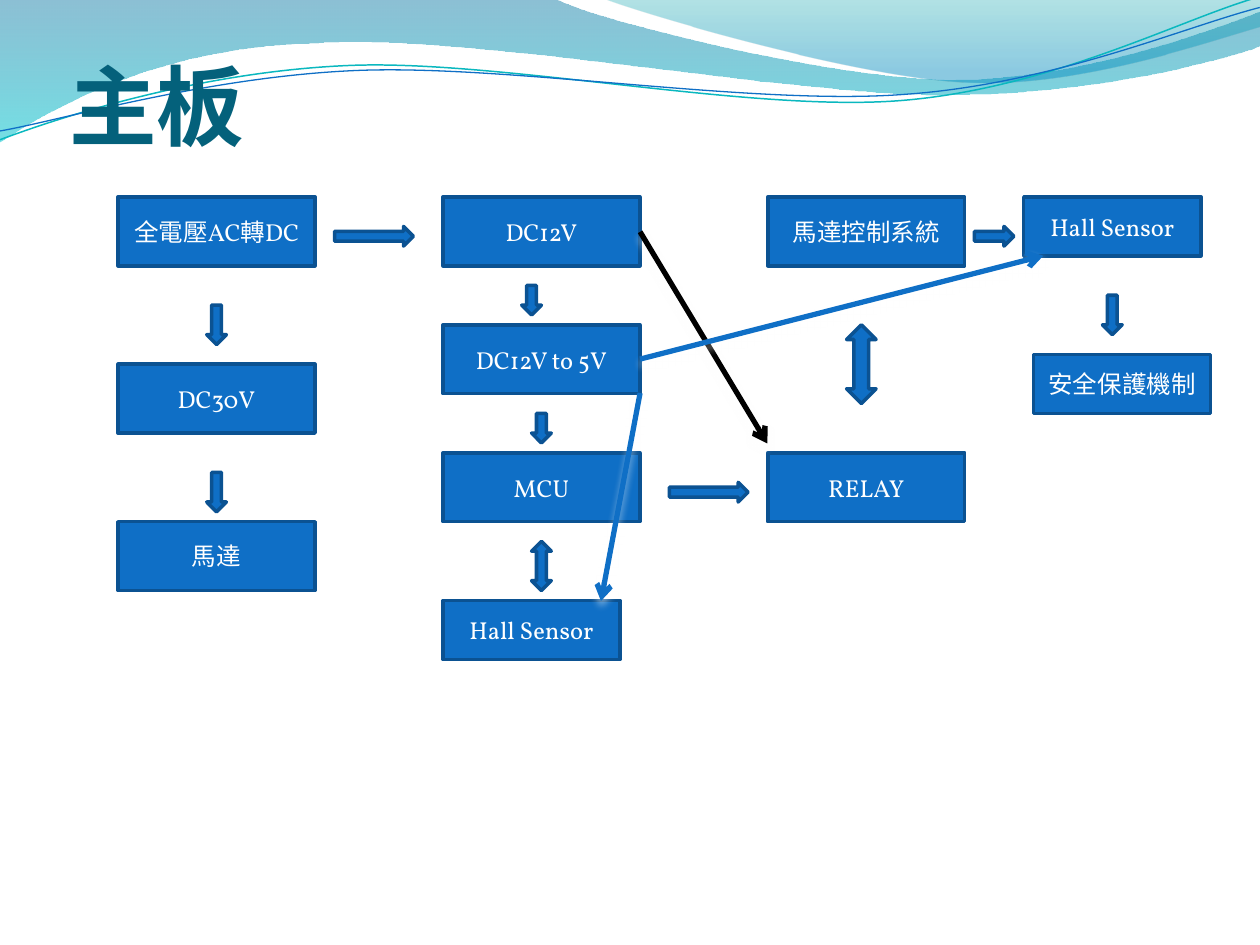
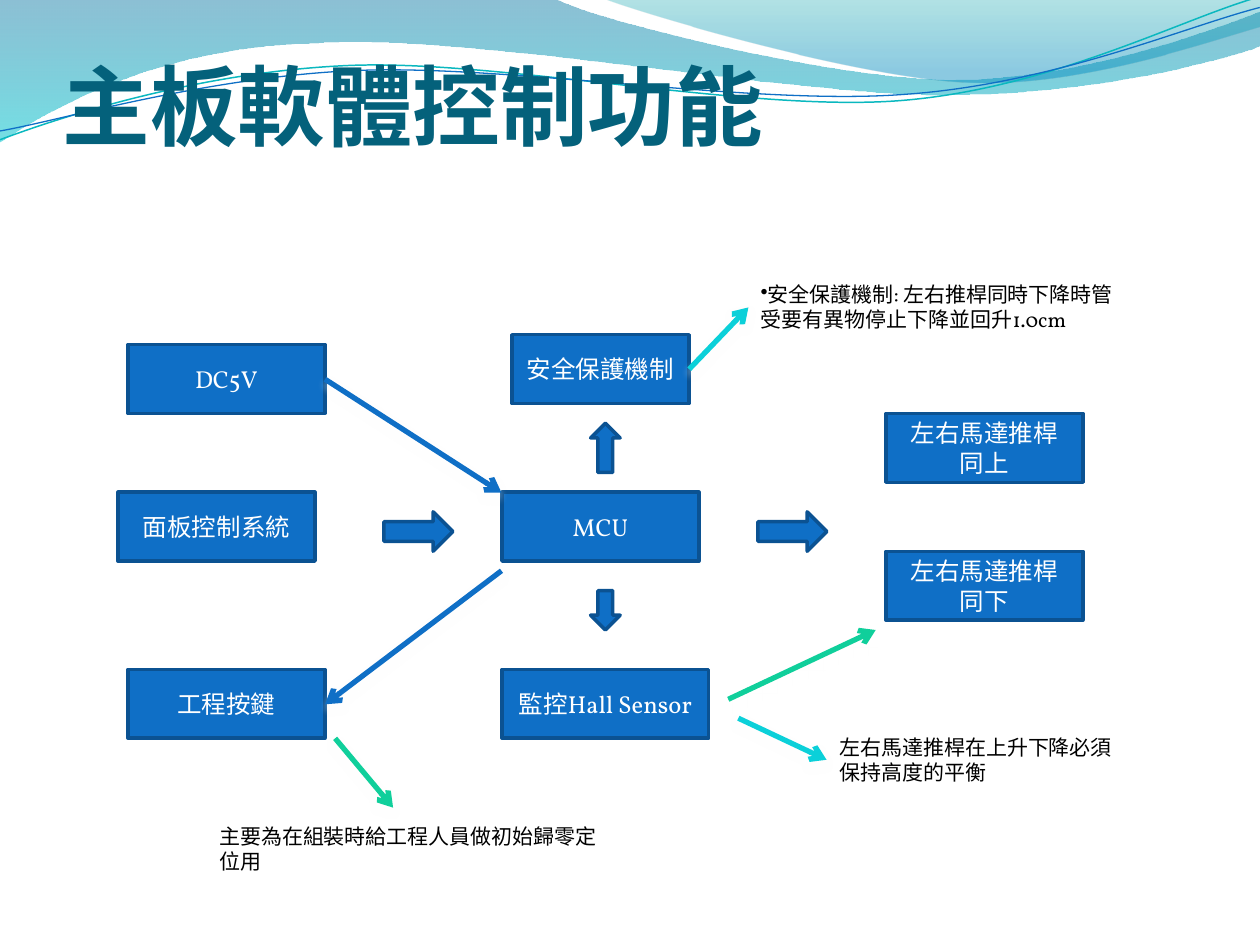
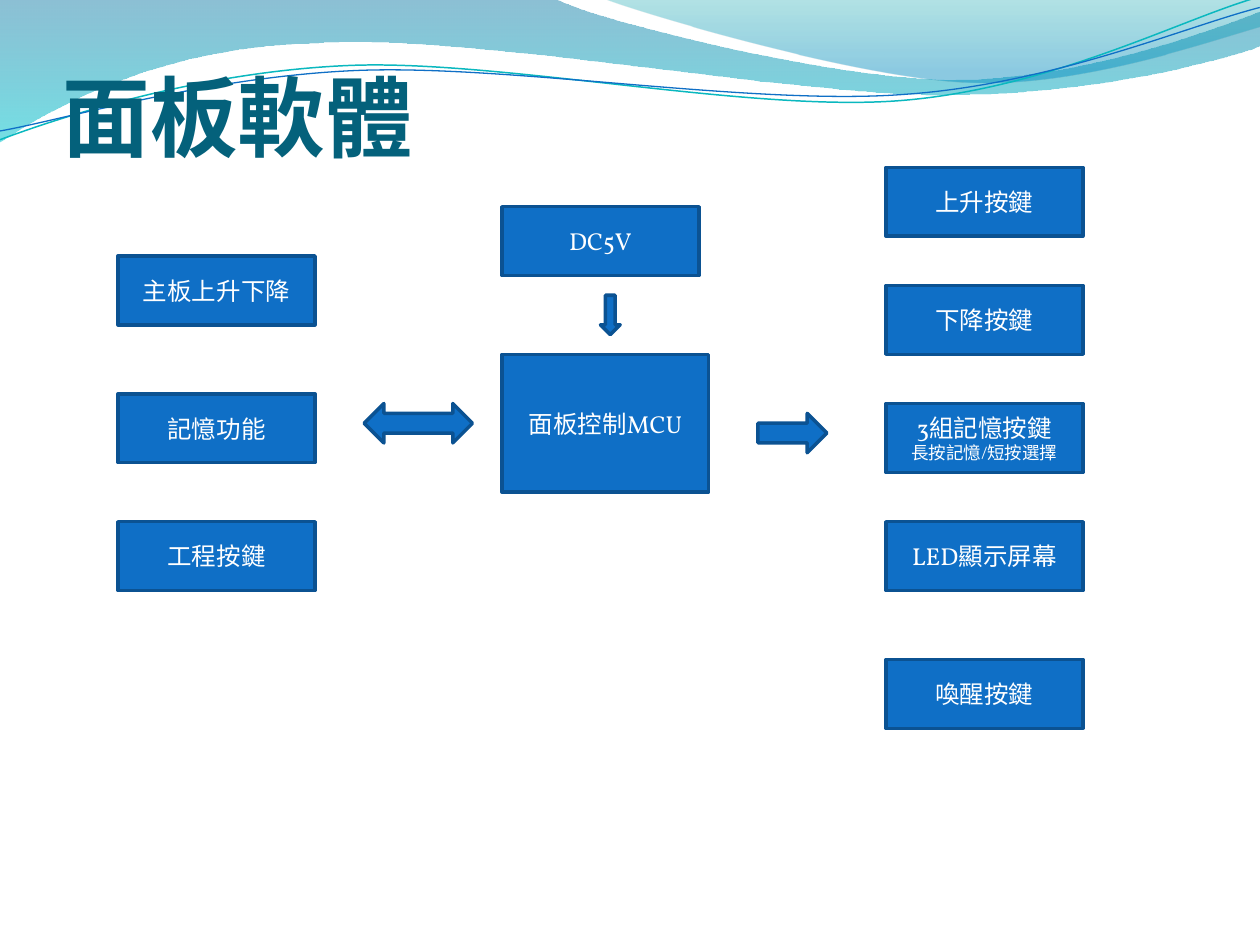
import math

from lxml import etree
from pptx import Presentation
from pptx.dml.color import RGBColor
from pptx.enum import shapes, text
from pptx.oxml import ns
from pptx.util import Inches, Pt

# Shared colours and fonts
BLUE, EDGE, TEAL, CYAN, GREEN = "0F6FC6", "0B5292", "04617B", "0BD0D9", "10CF9B"
BLACK, WHITE = "000000", "FFFFFF"
HEAD_FONT, BODY_FONT = "Calibri", "Vollkorn"

# Shared grid (128 steps across the slide), box sizes and columns
GRID = Inches(10) / 128
BOX, SMALL, WIDE = (1.56, 0.55), (1.41, 0.47), (1.64, 0.55)
LEFT, CENTRE, RIGHT = 0.94, 3.98, 7.03

MSO = shapes.MSO_SHAPE
ARROWS = {"right": MSO.RIGHT_ARROW, "down": MSO.DOWN_ARROW, "up": MSO.UP_ARROW,
          "updown": MSO.UP_DOWN_ARROW, "leftright": MSO.LEFT_RIGHT_ARROW}

# Header waves: start point, then lines (one point) or curves (three points)
BAND = [[(0, 0)], [(4.4, -0.01)],
        [(4.76, 0.17), (6.64, 0.63), (7.58, 0.63)],
        [(8.53, 0.63), (9.58, 0.26), (10, 0.09)], [(10.01, 0.36)],
        [(9.83, 0.44), (8.7, 0.76), (7.46, 0.75)],
        [(6.22, 0.75), (3.82, 0.28), (2.57, 0.34)],
        [(1.29, 0.36), (0.46, 0.83), (-0.01, 1.13)], [(0, 0)]]
CREST = [[(4.79, -0.01)], [(5.09, 0.11), (6.82, 0.62), (7.69, 0.65)],
         [(8.56, 0.69), (9.61, 0.32), (10, 0.21)], [(10, 0)], [(4.79, -0.01)]]
UPPER_LINE = [[(0, 1.11)], [(0.48, 0.93), (1.58, 0.57), (2.77, 0.52)],
              [(3.95, 0.47), (5.93, 0.89), (7.13, 0.8)],
              [(8.33, 0.71), (9.38, 0.15), (9.98, -0.02)]]
LOWER_LINE = [[(0, 1.04)], [(0.47, 0.96), (1.64, 0.61), (2.83, 0.56)],
              [(4.03, 0.51), (5.97, 0.84), (7.17, 0.75)],
              [(8.36, 0.67), (9.41, 0.21), (10, 0.06)]]
TILT = 2.7


def rgb(value):
    return RGBColor.from_string(value)


def snap(*lengths):
    return [round(round(Inches(v) / GRID) * GRID) for v in lengths]


def add_xml(parent, tag, **attrs):
    return etree.SubElement(parent, ns.qn(tag), attrs)


def apply(target, **values):
    for name, value in values.items():
        setattr(target, name, value)


def paint(sp, fill, line, width):
    sp.shadow.inherit = False
    sp.fill.solid()
    sp.fill.fore_color.rgb = rgb(fill)
    sp.line.color.rgb = rgb(line)
    sp.line.width = Pt(width)


def write(p, words, size, color, font=BODY_FONT, bold=False):
    r = p.add_run()
    r.text = words
    apply(r.font, name=font, size=Pt(size), bold=bold)
    r.font.color.rgb = rgb(color)


# Waves
def turn(outline, degrees):
    """Turn an outline clockwise around the middle of its ends."""
    (x1, y1), (x2, y2) = outline[0][0], outline[-1][-1]
    cx, cy = (x1 + x2) / 2, (y1 + y2) / 2
    sin, cos = math.sin(math.radians(degrees)), math.cos(math.radians(degrees))
    return [[(cx + (x - cx) * cos - (y - cy) * sin, cy + (x - cx) * sin + (y - cy) * cos)
             for x, y in part] for part in outline]


def add_wave(slide, outline, closed):
    points = [(Inches(x), Inches(y)) for part in outline for x, y in part]
    builder = slide.shapes.build_freeform(*points[0])
    builder.add_line_segments(points[1:], close=closed)
    sp = builder.convert_to_shape()
    sp.shadow.inherit = False
    # Join the three segments of each curve into one Bezier segment
    segments = iter(list(sp.element.iter(ns.qn("a:lnTo"))))
    for part in outline[1:]:
        group = [next(segments) for _ in part]
        if len(group) == 3:
            curve = etree.Element(ns.qn("a:cubicBezTo"))
            group[0].addprevious(curve)
            for segment in group:
                curve.append(segment[0])
                segment.getparent().remove(segment)
    return sp


def add_gradient_wave(slide, outline, stops):
    sp = add_wave(slide, outline, True)
    sp.fill.gradient()
    sp.fill.gradient_angle = 270
    for stop, (position, color, _) in zip(sp.fill.gradient_stops, stops):
        stop.position = position
        stop.color.rgb = rgb(color)
    for clr, (_, _, opacity) in zip(sp.element.spPr.iter(ns.qn("a:srgbClr")), stops):
        add_xml(clr, "a:alpha", val=str(opacity * 1000))
    sp.line.fill.background()
    return sp


def add_line_wave(slide, outline, color, width):
    sp = add_wave(slide, turn(outline, TILT), False)
    sp.rotation = -TILT
    sp.fill.background()
    sp.line.color.rgb = rgb(color)
    sp.line.width = Pt(width)
    return sp


def add_header(slide, layout):
    """Draw the waves once and move them to the layout that all slides use."""
    waves = [
        add_gradient_wave(slide, BAND, [(0, "0074A1", 45), (1, "00C6CF", 55)]),
        add_gradient_wave(slide, CREST, [(0, "00A1A9", 30), (0.8, "008BBF", 45)]),
        add_line_wave(slide, UPPER_LINE, "0AB8BF", 0.85),
        add_line_wave(slide, LOWER_LINE, BLUE, 0.75),
    ]
    for sp in waves:
        layout.shapes.element.append(sp.element)


# Diagram elements
def add_title(slide, words, x=0.5, y=0):
    tf = slide.shapes.add_textbox(*map(Inches, (x, y, 9, 1.25))).text_frame
    apply(tf, word_wrap=True, vertical_anchor=text.MSO_ANCHOR.BOTTOM, margin_left=0,
          margin_top=Inches(0.05), margin_right=0, margin_bottom=0)
    write(tf.paragraphs[0], words, 50, TEAL, HEAD_FONT, True)


def add_box(slide, x, y, *lines, size=BOX, sizes=(14, 14)):
    sp = slide.shapes.add_shape(MSO.RECTANGLE, *snap(x, y, *size))
    paint(sp, BLUE, EDGE, 2)
    tf = sp.text_frame
    apply(tf, word_wrap=True, vertical_anchor=text.MSO_ANCHOR.MIDDLE)
    for i, words in enumerate(lines):
        p = tf.add_paragraph() if i else tf.paragraphs[0]
        p.alignment = text.PP_ALIGN.CENTER
        write(p, words, sizes[i], WHITE)


def add_arrow(slide, kind, x, y, w, h):
    sp = slide.shapes.add_shape(ARROWS[kind], *snap(x, y, w, h))
    paint(sp, BLUE, EDGE, 2)


def add_link(slide, start, end, color):
    line = slide.shapes.add_connector(shapes.MSO_CONNECTOR.STRAIGHT,
                                      *map(Inches, (*start, *end)))
    line.line.color.rgb = rgb(color)
    line.line.width = Pt(3)
    add_xml(line.get_or_add_ln(), "a:tailEnd", type="arrow")
    # Soft light halo below the line
    effects = add_xml(line.element.spPr, "a:effectLst")
    shadow = add_xml(effects, "a:outerShdw", blurRad=str(Pt(4.5)), dist=str(Pt(3)),
                     dir="5400000", rotWithShape="0")
    clr = add_xml(shadow, "a:srgbClr", val=WHITE)
    add_xml(clr, "a:alpha", val="48000")


def add_note(slide, x, y, w, words, bullet=False):
    tf = slide.shapes.add_textbox(*snap(x, y, w), Inches(0.5)).text_frame
    apply(tf, word_wrap=True, auto_size=text.MSO_AUTO_SIZE.SHAPE_TO_FIT_TEXT)
    p = tf.paragraphs[0]
    write(p, words, 12, BLACK)
    if bullet:
        add_xml(p._p.get_or_add_pPr(), "a:buChar", char="•")


# Slides
def build_mainboard(slide):
    supply, relay = 3.52, 6.09
    add_title(slide, "主板", x=0.55)
    for x, y, words in [
            (LEFT, 1.56, "全電壓AC轉DC"), (LEFT, 2.89, "DC30V"), (LEFT, 4.14, "馬達"),
            (supply, 1.56, "DC12V"), (supply, 2.58, "DC12V to 5V"), (supply, 3.59, "MCU"),
            (relay, 1.56, "馬達控制系統"), (relay, 3.59, "RELAY")]:
        add_box(slide, x, y, words)
    for x, y, words in [(8.13, 1.56, "Hall Sensor"), (8.2, 2.81, "安全保護機制"),
                        (supply, 4.77, "Hall Sensor")]:
        add_box(slide, x, y, words, size=SMALL)
    for arrow in [
            ("right", 2.66, 1.8, 0.63, 0.16), ("right", 5.31, 3.83, 0.63, 0.16),
            ("right", 7.73, 1.8, 0.31, 0.16), ("down", 1.64, 2.42, 0.16, 0.31),
            ("down", 1.64, 3.75, 0.16, 0.31), ("down", 8.75, 2.34, 0.16, 0.31),
            ("down", 4.14, 2.27, 0.16, 0.23), ("down", 4.22, 3.28, 0.16, 0.23),
            ("updown", 6.72, 2.58, 0.23, 0.63), ("updown", 4.22, 4.3, 0.16, 0.39)]:
        add_arrow(slide, *arrow)
    add_link(slide, (5.08, 1.84), (6.09, 3.52), BLACK)
    add_link(slide, (5.08, 2.85), (8.28, 2.03), BLUE)
    add_link(slide, (5.08, 3.12), (4.77, 4.77), BLUE)


def build_board_software(slide):
    add_title(slide, "主板軟體控制功能")
    for x, y, *lines in [
            (1.02, 2.73, "DC5V"), (LEFT, 3.91, "面板控制系統"), (1.02, 5.31, "工程按鍵"),
            (CENTRE, 3.91, "MCU"), (RIGHT, 3.28, "左右馬達推桿", "同上"),
            (RIGHT, 4.38, "左右馬達推桿", "同下")]:
        add_box(slide, x, y, *lines)
    add_box(slide, CENTRE, 5.31, "監控Hall Sensor", size=WIDE)
    add_box(slide, 4.06, 2.66, "安全保護機制", size=(1.41, 0.55))
    for arrow in [("right", 3.05, 4.06, 0.55, 0.31), ("right", 6.02, 4.06, 0.55, 0.31),
                  ("down", 4.69, 4.69, 0.23, 0.31), ("up", 4.69, 3.36, 0.23, 0.39)]:
        add_arrow(slide, *arrow)
    add_note(slide, 5.94, 2.19, 3.05,
             "安全保護機制: 左右推桿同時下降時管受要有異物停止下降並回升1.0cm", bullet=True)
    add_note(slide, 6.56, 5.78, 2.42, "左右馬達推桿在上升下降必須保持高度的平衡")
    add_note(slide, 1.64, 6.48, 3.36, "主要為在組裝時給工程人員做初始歸零定位用")
    for link in [
            ((5.47, 2.93), (5.94, 2.44), CYAN), ((5.78, 5.55), (6.95, 5), GREEN),
            ((5.86, 5.7), (6.56, 6.03), CYAN), ((3.98, 4.53), (2.58, 5.59), BLUE),
            ((2.66, 5.86), (3.12, 6.41), GREEN), ((2.58, 3.01), (3.98, 3.91), BLUE)]:
        add_link(slide, *link)


def build_panel_software(slide):
    add_title(slide, "面板軟體", y=0.08)
    for x, y, *lines in [
            (LEFT, 2.03, "主板上升下降"), (LEFT, 3.12, "記憶功能"), (LEFT, 4.14, "工程按鍵"),
            (CENTRE, 1.64, "DC5V"), (RIGHT, 1.33, "上升按鍵"), (RIGHT, 2.27, "下降按鍵"),
            (RIGHT, 3.2, "3組記憶按鍵", "長按記憶/短按選擇"),
            (RIGHT, 4.14, "LED顯示屏幕"), (RIGHT, 5.23, "喚醒按鍵")]:
        add_box(slide, x, y, *lines, sizes=(14, 10))
    add_box(slide, CENTRE, 2.81, "面板控制MCU", size=(1.64, 1.09))
    for arrow in [("right", 6.02, 3.28, 0.55, 0.31), ("leftright", 2.89, 3.2, 0.86, 0.31),
                  ("down", 4.77, 2.34, 0.16, 0.31)]:
        add_arrow(slide, *arrow)


def main():
    prs = Presentation()
    prs.slide_width, prs.slide_height = Inches(10), Inches(7.5)
    blank = prs.slide_layouts[6]
    for i, build in enumerate((build_mainboard, build_board_software, build_panel_software)):
        slide = prs.slides.add_slide(blank)
        if i == 0:
            add_header(slide, blank)
        build(slide)
    prs.save("out.pptx")


main()
